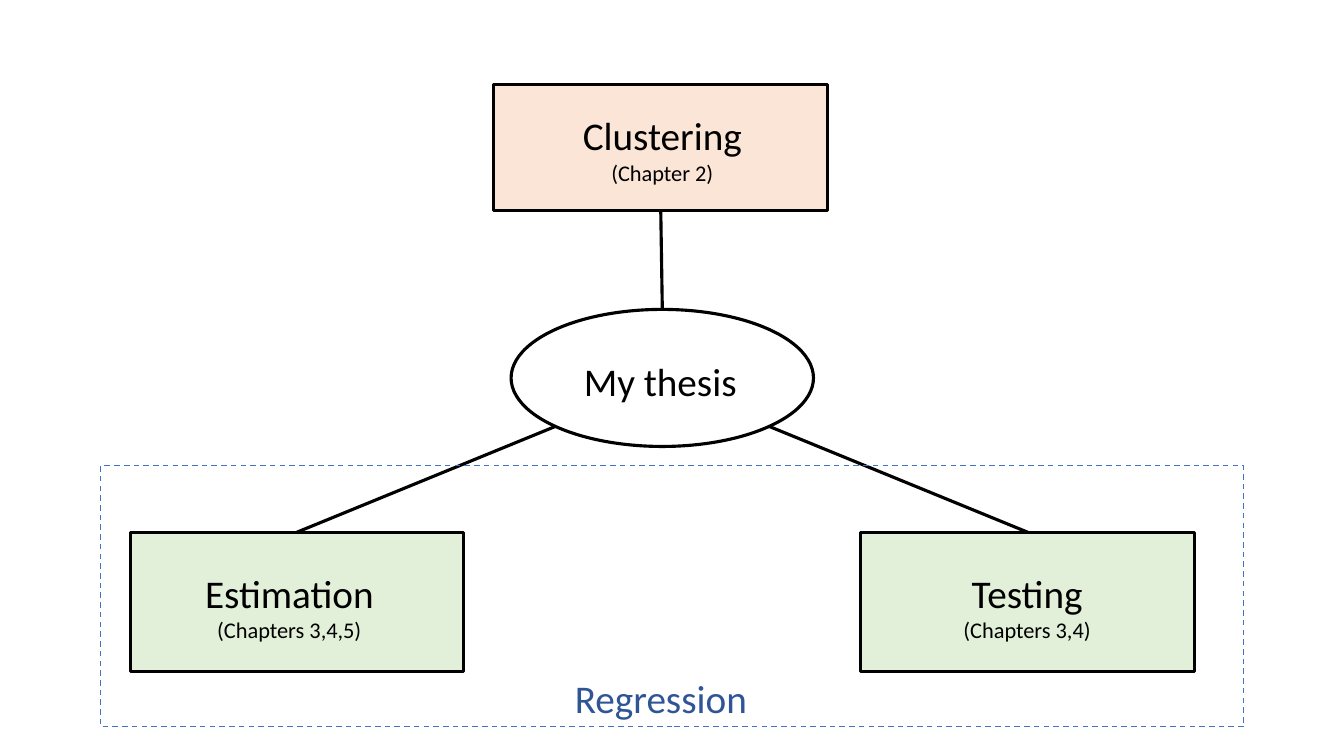
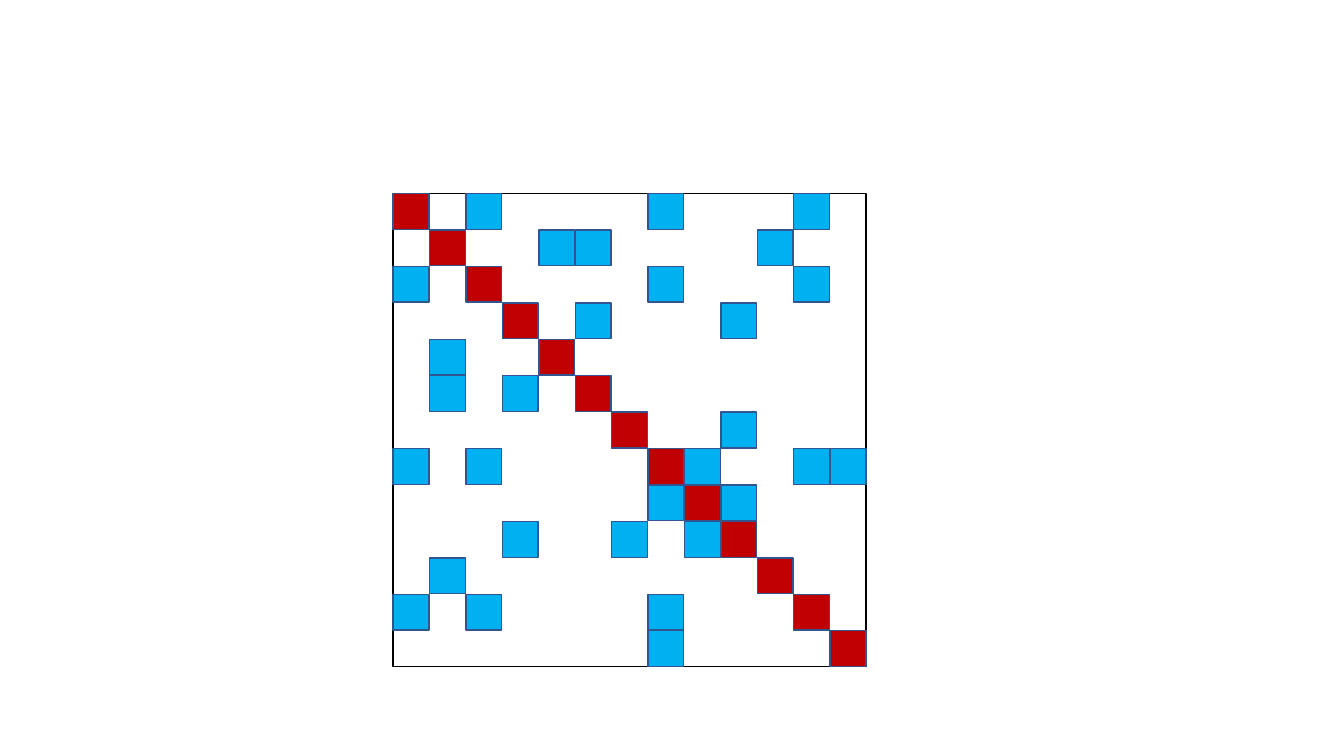
import math

from lxml import etree
from pptx import Presentation
from pptx import util as u
from pptx.dml.color import RGBColor
from pptx.enum import dml, shapes, text
from pptx.oxml.ns import qn

BLACK = RGBColor(0x00, 0x00, 0x00)
PEACH = RGBColor(0xFB, 0xE5, 0xD6)
GREEN = RGBColor(0xE2, 0xF0, 0xD9)
BLUE = RGBColor(0x44, 0x72, 0xC4)
DARK_BLUE = RGBColor(0x2F, 0x55, 0x97)
CELL_EDGE = RGBColor(0x32, 0x54, 0x91)
RED = RGBColor(0xC0, 0x00, 0x00)
SKY = RGBColor(0x00, 0xB0, 0xF0)

RECTANGLE = shapes.MSO_SHAPE.RECTANGLE
OVAL = shapes.MSO_SHAPE.OVAL


class Deck:
    font = "Calibri"
    columns = 100
    rows = 100
    thick = 2.25
    thin = 1

    def __init__(self):
        self.presentation = Presentation()
        self.presentation.slide_width = u.Inches(13.33)
        self.presentation.slide_height = u.Inches(7.5)
        self.slide = None

    def new_slide(self):
        self.slide = self.presentation.slides.add_slide(self.presentation.slide_layouts[6])

    def x(self, column):
        return round(self.presentation.slide_width * column / self.columns)

    def y(self, row):
        return round(self.presentation.slide_height * row / self.rows)

    def box(self, left, top, width, height, fill=None, line=BLACK, weight=thick,
            kind=RECTANGLE, dash=None):
        shape = self.slide.shapes.add_shape(
            kind, self.x(left), self.y(top), self.x(width), self.y(height))
        shape.shadow.inherit = False
        if fill is None:
            shape.fill.background()
        else:
            shape.fill.solid()
            shape.fill.fore_color.rgb = fill
        shape.line.color.rgb = line
        shape.line.width = u.Pt(weight)
        if dash is not None:
            shape.line.dash_style = dash

    def link(self, start, end):
        connector = self.slide.shapes.add_connector(
            shapes.MSO_CONNECTOR.STRAIGHT,
            self.x(start[0]), self.y(start[1]), self.x(end[0]), self.y(end[1]))
        connector.line.color.rgb = BLACK
        connector.line.width = u.Pt(self.thick)
        etree.SubElement(connector._element.spPr, qn("a:effectLst"))

    def label(self, left, top, width, height, title, note=None, color=BLACK):
        shape = self.slide.shapes.add_textbox(
            self.x(left), self.y(top), self.x(width), self.y(height))
        frame = shape.text_frame
        frame.word_wrap = False
        frame.auto_size = text.MSO_AUTO_SIZE.SHAPE_TO_FIT_TEXT
        frame.text = title if note is None else f"{title}\n{note}"
        for paragraph, size in zip(frame.paragraphs, (28, 16)):
            paragraph.alignment = text.PP_ALIGN.CENTER
            paragraph.font.name = self.font
            paragraph.font.size = u.Pt(size)
            paragraph.font.color.rgb = color


def thesis_map(deck):
    deck.new_slide()
    box_width = 24.83
    top_left, top_row, top_height = 36.75, 11.2, 16.7
    estimation_left, testing_left, lower_row, lower_height = 9.68, 64.05, 70.4, 18.4
    thesis_left, thesis_top, thesis_width, thesis_height = 38.03, 40.93, 22.5, 18.13
    center = thesis_left + thesis_width / 2
    reach = thesis_width / 2 * math.cos(math.pi / 4)
    low = thesis_top + thesis_height / 2 * (1 + math.sin(math.pi / 4))

    deck.box(top_left, top_row, box_width, top_height, PEACH)
    for left, side in ((estimation_left, -1), (testing_left, 1)):
        deck.box(left, lower_row, box_width, lower_height, GREEN)
        deck.link((left + box_width / 2, lower_row), (center + side * reach, low))
    deck.box(thesis_left, thesis_top, thesis_width, thesis_height, kind=OVAL)
    deck.link((center, thesis_top), (top_left + box_width / 2, top_row + top_height))
    deck.box(7.5, 61.6, 85.05, 34.53, line=BLUE, weight=deck.thin,
             dash=dml.MSO_LINE.DASH)

    deck.label(42.6, 46.67, 13.05, 7.6, "My thesis")
    deck.label(41.93, 88.53, 14.48, 7.6, "Regression", color=DARK_BLUE)
    deck.label(14.4, 74.67, 14.25, 11.2, "Estimation", "(Chapters 3,4,5)")
    deck.label(69.75, 74.67, 13.35, 11.2, "Testing", "(Chapters 3,4)")
    deck.label(42.53, 14.13, 13.5, 11.2, "Clustering", "(Chapter 2)")


def sparse_matrix(deck):
    deck.new_slide()
    left, top = 29.25, 25.6
    step_x, step_y = 2.71, 4.82
    cell_width, cell_height = 2.66, 4.73
    filled_columns = [
        (2, 7, 11), (4, 5, 10), (0, 7, 11), (5, 9), (1,), (1, 3), (9,),
        (0, 2, 8, 11, 12), (7, 9), (3, 6, 8), (1,), (0, 2, 7), (7,),
    ]
    last = len(filled_columns) - 1

    def cell(row, column, fill):
        deck.box(left + column * step_x, top + row * step_y, cell_width, cell_height,
                 fill, CELL_EDGE, deck.thin)

    deck.box(left, top, last * step_x + cell_width, last * step_y + cell_height,
             weight=deck.thin)
    for row, columns in enumerate(filled_columns):
        cell(row, row, RED)
        for column in columns:
            cell(row, column, SKY)


def main():
    deck = Deck()
    thesis_map(deck)
    sparse_matrix(deck)
    deck.presentation.save("out.pptx")


if __name__ == "__main__":
    main()
